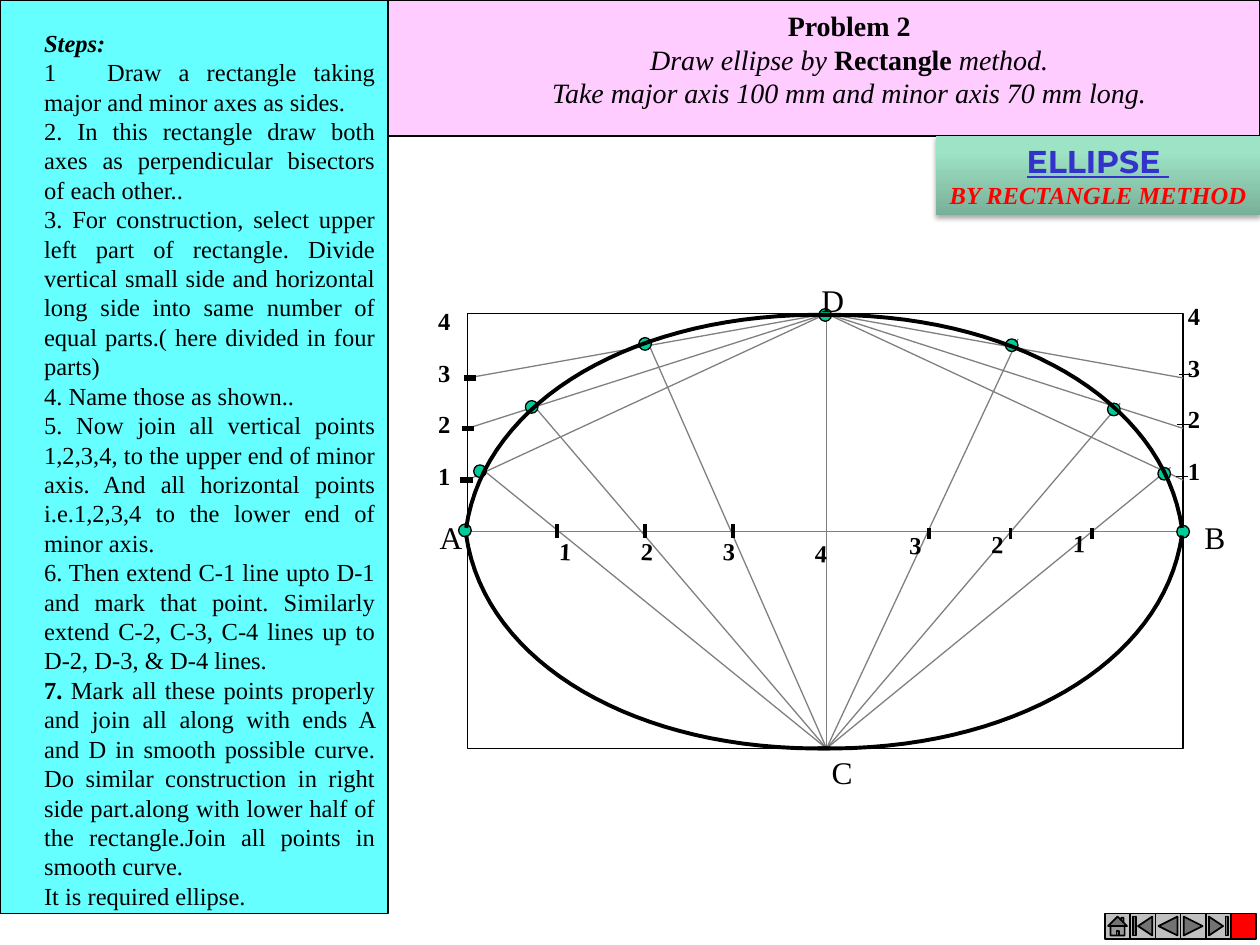
"""Build a slide that explains the rectangle method of drawing an ellipse."""
from dataclasses import dataclass

from lxml import etree
from pptx import Presentation
from pptx import util as u
from pptx.dml.color import RGBColor
from pptx.enum import shapes, text
from pptx.oxml import ns


@dataclass(frozen=True)
class Theme:
    serif: str = "Times New Roman"
    display: str = "Montserrat"
    ink: str = "000000"
    paper: str = "FFFFFF"
    ray: str = "808080"
    dot: str = "00CC99"
    pink: str = "FFCCFF"
    cyan: str = "66FFFF"
    blue: str = "3333CC"
    red: str = "FF0000"
    button: str = "C0C0C0"
    badge_dark: str = "79AF98"
    badge_light: str = "9DE3C5"
    small: int = 14
    medium: int = 16
    large: int = 18


THEME = Theme()
KIND = shapes.MSO_SHAPE
ALIGN = text.PP_ALIGN

PROBLEM = [
    [("Problem 2", "b")],
    [("Draw ellipse by ", "i"), ("Rectangle", "b"), (" method.", "i")],
    [("Take major axis 100 mm and minor axis 70 mm long.", "i")],
]
STEPS = [
    [("Steps:", "bi")],
    [("1\tDraw a rectangle taking major and minor axes as sides.", "")],
    [("2. In this rectangle draw both axes as perpendicular bisectors of each other..", "")],
    [("3. For construction, select upper left part of rectangle. Divide vertical small side and "
      "horizontal long side into same number of equal parts.( here divided in four parts)", "")],
    [("4. Name those as shown..", "")],
    [("5. Now join all vertical points 1,2,3,4, to the upper end of minor axis. And all "
      "horizontal points i.e.1,2,3,4 to the lower end of minor axis.", "")],
    [("6. Then extend C-1 line upto D-1 and mark that point. Similarly extend C-2, C-3, C-4 "
      "lines up to D-2, D-3, & D-4 lines. ", "")],
    [("7.", "b"), (" Mark all these points properly and join all along with ends A and D in "
      "smooth possible curve. Do similar construction in right side part.along with lower half "
      "of the rectangle.Join all points in smooth curve. ", "")],
    [("It is required ellipse.", "")],
]
BADGE = [("ELLIPSE ", THEME.display, THEME.large, THEME.blue, "bu"),
         ("BY RECTANGLE METHOD", THEME.serif, THEME.small, THEME.red, "bi")]
BUTTONS = [KIND.ACTION_BUTTON_HOME, KIND.ACTION_BUTTON_BEGINNING,
           KIND.ACTION_BUTTON_BACK_OR_PREVIOUS, KIND.ACTION_BUTTON_FORWARD_OR_NEXT,
           KIND.ACTION_BUTTON_END, KIND.ACTION_BUTTON_CUSTOM]
CORNERS = [("A", 3.39, 4.06, 0.38), ("B", 9.46, 4.06, 0.37),
           (" C", 6.44, 5.93, 0.43), ("D", 6.42, 2.18, 0.38)]

LEFT, TOP, WIDTH, HEIGHT = 3.71, 2.49, 5.68, 3.45
RIGHT, BOTTOM = LEFT + WIDTH, TOP + HEIGHT
AXIS_X, AXIS_Y = 6.56, 4.22
ROW, LEFT_COLUMN, RIGHT_COLUMN = 0.41, 0.7, 0.65
DOT, BUTTON = 0.1, 0.2
LEVELS = [3.81, 3.4, 3]
C_RAY_ENDS = [(3.81, 3.71), (4.22, 3.2), (5.13, 2.69), (9.29, 3.71), (8.89, 3.2), (8.08, 2.69)]
DOTS = [(3.64, 4.16), (3.76, 3.69), (4.17, 3.18), (5.07, 2.68), (6.5, 2.45),
        (7.98, 2.69), (8.79, 3.2), (9.19, 3.71), (9.34, 4.17)]
CURVE_CENTRE = (6.54, 4.22)
QUARTER = [(-0.05, 1.72), (1.48, 1.75), (2.69, 1.05), (2.84, 0.03)]
CURVE_STEPS = 32


def inches(*lengths):
    return [u.Inches(length) for length in lengths]


def colour(code):
    return RGBColor.from_string(code)


def format_run(span, size, style, font=THEME.serif, ink=THEME.ink):
    span.font.name, span.font.size = font, u.Pt(size)
    span.font.color.rgb = colour(ink)
    span.font.bold, span.font.italic = "b" in style, "i" in style
    span.font.underline = "u" in style


def add_line(page, start, end, ink=THEME.ink, weight=0.75):
    line = page.shapes.add_connector(shapes.MSO_CONNECTOR.STRAIGHT, *inches(*start, *end))
    line.line.color.rgb, line.line.width = colour(ink), u.Pt(weight)
    etree.SubElement(line._element.spPr, ns.qn("a:effectLst"))


def add_shape(page, kind, area, fill, weight=0.75):
    shape = page.shapes.add_shape(kind, *inches(*area))
    shape.shadow.inherit = False
    shape.fill.solid()
    shape.fill.fore_color.rgb = colour(fill)
    shape.line.color.rgb, shape.line.width = colour(THEME.ink), u.Pt(weight)
    return shape


def add_label(page, words, x, y, width=0.3, height=0.33, size=THEME.small, style="b", turn=0):
    box = page.shapes.add_textbox(*inches(x, y, width, height))
    box.rotation = turn
    box.text_frame.word_wrap = False
    box.text_frame.auto_size = text.MSO_AUTO_SIZE.SHAPE_TO_FIT_TEXT
    box.text_frame.text = words
    format_run(box.text_frame.paragraphs[0].runs[0], size, style)


def fill_placeholder(page, box, area, paragraphs, size, align):
    page.shapes._spTree.append(box._element)
    box.left, box.top, box.width, box.height = inches(*area)
    frame = box.text_frame
    frame.auto_size, frame.word_wrap = text.MSO_AUTO_SIZE.NONE, True
    frame.vertical_anchor = text.MSO_ANCHOR.TOP
    for index, spans in enumerate(paragraphs):
        para = frame.add_paragraph() if index else frame.paragraphs[0]
        properties = para._p.get_or_add_pPr()
        properties.set("marL", "0")
        properties.set("indent", "0")
        etree.SubElement(properties, ns.qn("a:buNone"))
        stops = etree.SubElement(properties, ns.qn("a:tabLst"))
        etree.SubElement(stops, ns.qn("a:tab"), pos=str(u.Inches(0.25)), algn="l")
        para.alignment, para.line_spacing = align, 1.0
        para.space_before = para.space_after = u.Pt(0)
        for words, style in spans:
            span = para.add_run()
            span.text = words
            format_run(span, size, style)


def add_quarter(page, side, half):
    points = []
    for step in range(CURVE_STEPS + 1):
        t = step / CURVE_STEPS
        weights = [(1 - t) ** 3, 3 * t * (1 - t) ** 2, 3 * t ** 2 * (1 - t), t ** 3]
        x, y = (sum(w * point[axis] for w, point in zip(weights, QUARTER)) for axis in (0, 1))
        points.append(inches(CURVE_CENTRE[0] + side * x, CURVE_CENTRE[1] + half * y))
    builder = page.shapes.build_freeform(*points[0])
    builder.add_line_segments(points[1:], close=False)
    curve = builder.convert_to_shape()
    curve.shadow.inherit = False
    curve.fill.background()
    curve.line.color.rgb, curve.line.width = colour(THEME.ink), u.Pt(2.25)


def draw_construction(page):
    add_shape(page, KIND.RECTANGLE, (LEFT, TOP, WIDTH, HEIGHT), THEME.paper)
    rays = [((LEFT, AXIS_Y), (RIGHT, AXIS_Y)), ((AXIS_X, TOP - 0.1), (AXIS_X, BOTTOM))]
    rays += [((AXIS_X, TOP), (x, y)) for x in (LEFT, RIGHT) for y in LEVELS]
    rays += [((AXIS_X, BOTTOM), end) for end in C_RAY_ENDS]
    for start, end in rays:
        add_line(page, start, end, THEME.ray)
    for i, y in enumerate(LEVELS):
        x = 3.65 + 0.015 * i
        add_line(page, (x, y), (x + 0.1, y), weight=3)
        x = 9.33 + 0.015 * i
        add_line(page, (x, y - 0.03), (x + 0.1, y - 0.03))
        x = 4.42 + LEFT_COLUMN * i
        add_line(page, (x, 4.16), (x, 4.27), weight=2.25)
        x = 8.67 - RIGHT_COLUMN * i
        add_line(page, (x, 4.19), (x, 4.28), weight=2.25)
        add_label(page, str(i + 1), 8.42 - RIGHT_COLUMN * i, 4.14 + 0.01 * i, turn=1.7)
        add_label(page, str(i + 1), 4.34 + RIGHT_COLUMN * i, 4.21, turn=2.3)
    add_label(page, "4", 6.37, 4.22, turn=2.3)
    for i in range(4):
        add_label(page, str(i + 1), 3.38, 3.61 - ROW * i)
        add_label(page, str(i + 1), 9.33, 3.57 - ROW * i)
    for x, y in DOTS:
        add_shape(page, KIND.OVAL, (x, y, DOT, DOT), THEME.dot)
    for side, half in [(-1, -1), (1, -1), (-1, 1), (1, 1)]:
        add_quarter(page, side, half)
    for words, x, y, width in CORNERS:
        add_label(page, words, x, y, width, 0.4, THEME.large, "")


def draw_badge(page):
    badge = add_shape(page, KIND.RECTANGLE, (7.43, 1.08, 2.57, 0.63), THEME.badge_light)
    badge.line.fill.background()
    badge.fill.gradient()
    badge.fill.gradient_angle = 90
    for stop, place, code in zip(badge.fill.gradient_stops, (0, 0.8),
                                 (THEME.badge_dark, THEME.badge_light)):
        stop.position, stop.color.rgb = place, colour(code)
    effects = badge._element.spPr.find(ns.qn("a:effectLst"))
    shadow = etree.SubElement(effects, ns.qn("a:outerShdw"), blurRad=str(u.Pt(3.1)),
                              dist=str(u.Pt(1.8)), dir="5400000", rotWithShape="0")
    tint = etree.SubElement(shadow, ns.qn("a:srgbClr"), val=THEME.ink)
    etree.SubElement(tint, ns.qn("a:alpha"), val="35000")
    frame = badge.text_frame
    frame.word_wrap = False
    frame.text = "\n".join(row[0] for row in BADGE)
    for para, (_, font, size, ink, style) in zip(frame.paragraphs, BADGE):
        para.alignment = ALIGN.CENTER
        format_run(para.runs[0], size, style, font, ink)


def main():
    deck = Presentation()
    deck.slide_width, deck.slide_height = inches(10, 7.5)
    page = deck.slides.add_slide(deck.slide_layouts[1])
    title, body = page.placeholders
    draw_construction(page)
    add_shape(page, KIND.RECTANGLE, (3.06, 0, 6.94, 1.08), THEME.pink)
    fill_placeholder(page, title, (3.06, 0.02, 7.36, 0.91), PROBLEM, THEME.medium, ALIGN.CENTER)
    add_shape(page, KIND.RECTANGLE, (0, 0, 3.08, 7.25), THEME.cyan)
    fill_placeholder(page, body, (0.25, 0.17, 2.83, 7.08), STEPS, THEME.small, ALIGN.JUSTIFY)
    draw_badge(page)
    for i, kind in enumerate(BUTTONS):
        fill = THEME.red if kind == KIND.ACTION_BUTTON_CUSTOM else THEME.button
        add_shape(page, kind, (8.77 + BUTTON * i, 7.25, BUTTON, BUTTON), fill, 1)
    deck.save("out.pptx")


if __name__ == "__main__":
    main()
